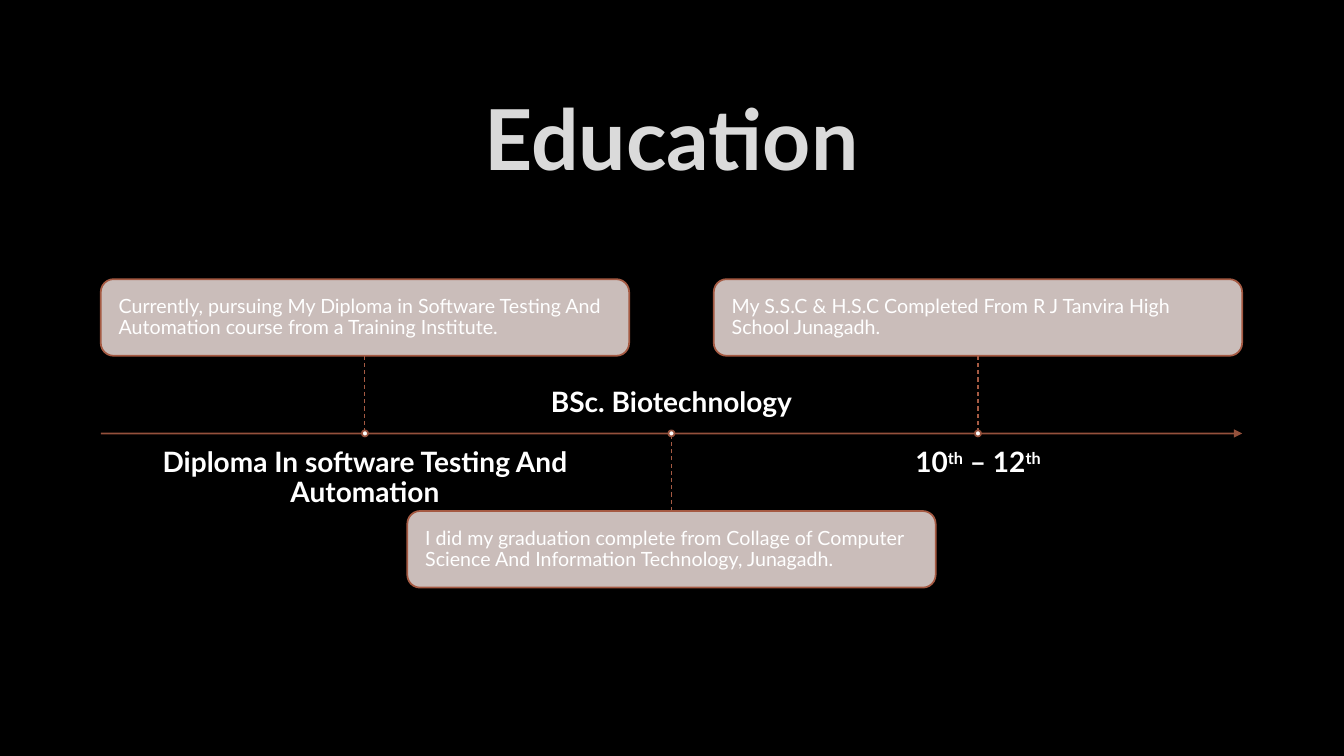
from dataclasses import dataclass

from lxml.etree import SubElement
from pptx import Presentation
from pptx.dml.color import RGBColor
from pptx.enum.dml import MSO_LINE
from pptx.enum.shapes import MSO_CONNECTOR, MSO_SHAPE
from pptx.enum.text import MSO_ANCHOR, PP_ALIGN
from pptx.oxml.ns import qn
from pptx.util import Inches, Pt


@dataclass(frozen=True)
class Theme:
    """Colours, font and type sizes of the slide."""
    background: RGBColor = RGBColor(0x00, 0x00, 0x00)
    title: RGBColor = RGBColor(0xDA, 0xDA, 0xDA)
    text: RGBColor = RGBColor(0xFF, 0xFF, 0xFF)
    card: RGBColor = RGBColor(0xE1, 0xD2, 0xCF)
    accent: RGBColor = RGBColor(0xA5, 0x5A, 0x43)
    dot_border: RGBColor = RGBColor(0x96, 0x52, 0x3D)
    font: str = "Lato"
    title_size: int = 60
    heading_size: int = 20
    body_size: int = 14
    line_width: float = 1.25
    dash_width: float = 0.75


@dataclass(frozen=True)
class Milestone:
    """One stop on the timeline; heading parts pair text with a superscript flag."""
    heading: tuple
    detail: str
    card_above: bool


THEME = Theme()
AXIS_LEFT, AXIS_RIGHT, AXIS_Y = 1, 12.32, 4.3
FIRST_CENTER, CENTER_STEP = 3.62, 3.04
CARD_WIDTH, CARD_HEIGHT, CARD_GAP = 5.24, 0.76, 0.77
HEADING_WIDTH, HEADING_HEIGHT, HEADING_GAP = 4.61, 0.46, 0.15
CARD_INSET = 0.14
DOT_SIZE = 0.06

MILESTONES = (
    Milestone(
        (("Diploma In software Testing And Automation", False),),
        "Currently, pursuing My Diploma in Software Testing And Automation "
        "course from a Training Institute.",
        True,
    ),
    Milestone(
        (("BSc. Biotechnology", False),),
        "I did my graduation complete from Collage of Computer Science And "
        "Information Technology, Junagadh.",
        False,
    ),
    Milestone(
        (("10", False), ("th", True), (" – 12", False), ("th", True)),
        "My S.S.C & H.S.C Completed From R J Tanvira High School Junagadh.",
        True,
    ),
)


def set_opacity(fill, percent):
    """Make a solid fill partly transparent."""
    color = fill._xPr.find(qn("a:solidFill"))[0]
    SubElement(color, qn("a:alpha"), val=str(percent * 1000))


def write_text(shape, parts, size, color, bold=False, align=PP_ALIGN.CENTER,
               anchor=MSO_ANCHOR.TOP, inset=0, spacing=0.9):
    """Write one paragraph of runs into a shape."""
    frame = shape.text_frame
    frame.word_wrap = True
    frame.vertical_anchor = anchor
    frame.margin_left = frame.margin_right = Inches(inset)
    frame.margin_top = frame.margin_bottom = Inches(inset)
    paragraph = frame.paragraphs[0]
    paragraph.alignment = align
    paragraph.line_spacing = spacing
    for text, superscript in parts:
        run = paragraph.add_run()
        run.text = text
        run.font.name = THEME.font
        run.font.size = Pt(size)
        run.font.bold = bold
        run.font.color.rgb = color
        if superscript:
            run.font._element.set("baseline", "30000")


def add_text(slide, left, top, width, height, parts, size, color, **options):
    """Add a text box."""
    box = slide.shapes.add_textbox(
        Inches(left), Inches(top), Inches(width), Inches(height))
    write_text(box, parts, size, color, **options)


def add_panel(slide, kind, left, top, width, height, fill, border):
    """Add a filled and outlined preset shape."""
    shape = slide.shapes.add_shape(
        kind, Inches(left), Inches(top), Inches(width), Inches(height))
    shape.shadow.inherit = False
    shape.fill.solid()
    shape.fill.fore_color.rgb = fill
    shape.line.color.rgb = border
    shape.line.width = Pt(THEME.line_width)
    return shape


def add_line(slide, start, end, width):
    """Add a straight accent line without a shadow."""
    connector = slide.shapes.add_connector(
        MSO_CONNECTOR.STRAIGHT, *(Inches(value) for value in (*start, *end)))
    connector.line.color.rgb = THEME.accent
    connector.line.width = Pt(width)
    SubElement(connector._element.spPr, qn("a:effectLst"))
    return connector


def add_axis(slide):
    """Add the timeline arrow."""
    axis = add_line(slide, (AXIS_LEFT, AXIS_Y), (AXIS_RIGHT, AXIS_Y),
                    THEME.line_width)
    set_opacity(axis.line.fill, 90)
    SubElement(axis.line._get_or_add_ln(), qn("a:tailEnd"), type="triangle")


def add_milestone(slide, center, milestone):
    """Add a card, its dashed stem, its dot and the heading across the axis."""
    if milestone.card_above:
        card_edge = AXIS_Y - CARD_GAP
        card_top = card_edge - CARD_HEIGHT
        heading_top = AXIS_Y + HEADING_GAP
        heading_anchor = MSO_ANCHOR.TOP
    else:
        card_edge = card_top = AXIS_Y + CARD_GAP
        heading_top = AXIS_Y - HEADING_GAP - HEADING_HEIGHT
        heading_anchor = MSO_ANCHOR.BOTTOM

    card = add_panel(slide, MSO_SHAPE.ROUNDED_RECTANGLE, center - CARD_WIDTH / 2,
                     card_top, CARD_WIDTH, CARD_HEIGHT, THEME.card, THEME.accent)
    set_opacity(card.fill, 90)
    write_text(card, ((milestone.detail, False),), THEME.body_size, THEME.text,
               align=PP_ALIGN.LEFT, anchor=MSO_ANCHOR.MIDDLE, inset=CARD_INSET)

    stem = add_line(slide, (center, card_edge), (center, AXIS_Y), THEME.dash_width)
    stem.line.dash_style = MSO_LINE.DASH

    add_text(slide, center - HEADING_WIDTH / 2, heading_top, HEADING_WIDTH,
             HEADING_HEIGHT, milestone.heading, THEME.heading_size, THEME.text,
             bold=True, anchor=heading_anchor)
    add_panel(slide, MSO_SHAPE.OVAL, center - DOT_SIZE / 2, AXIS_Y - DOT_SIZE / 2,
              DOT_SIZE, DOT_SIZE, THEME.text, THEME.dot_border)


def main():
    """Build the education timeline slide."""
    presentation = Presentation()
    presentation.slide_width = Inches(13.33)
    presentation.slide_height = Inches(7.5)
    slide = presentation.slides.add_slide(presentation.slide_layouts[6])
    slide.background.fill.solid()
    slide.background.fill.fore_color.rgb = THEME.background

    add_text(slide, AXIS_LEFT, 0.67, AXIS_RIGHT - AXIS_LEFT, 1.38,
             (("Education", False),), THEME.title_size, THEME.title,
             bold=True, anchor=MSO_ANCHOR.MIDDLE, spacing=1.0)
    add_axis(slide)
    for index, milestone in enumerate(MILESTONES):
        add_milestone(slide, FIRST_CENTER + index * CENTER_STEP, milestone)

    presentation.save("out.pptx")


if __name__ == "__main__":
    main()
